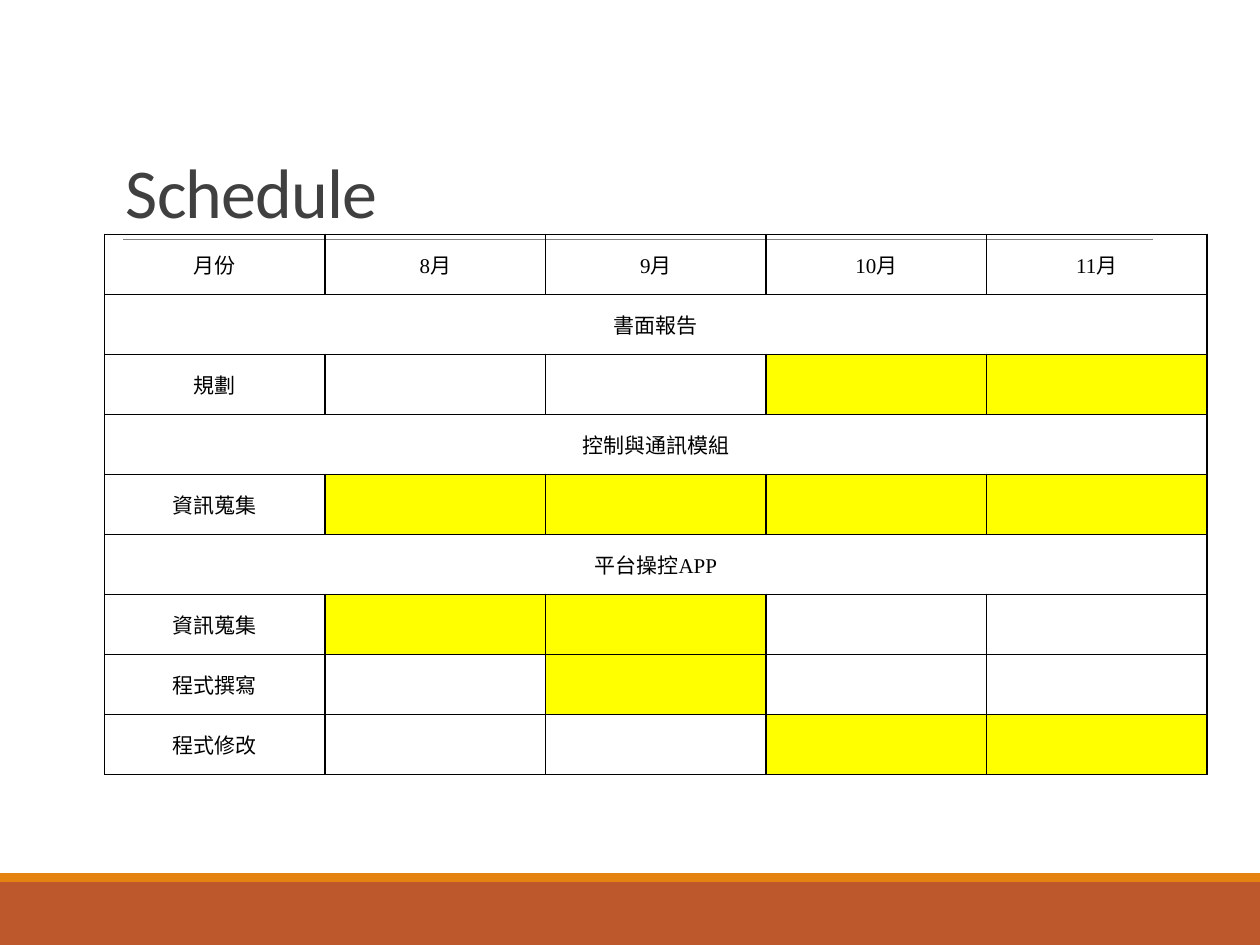
from lxml import etree
from pptx import Presentation
from pptx.dml.color import RGBColor
from pptx.enum.shapes import MSO_CONNECTOR, MSO_SHAPE
from pptx.enum.text import MSO_ANCHOR, PP_ALIGN
from pptx.oxml.ns import qn
from pptx.util import Inches, Pt

RECT, STRAIGHT = MSO_SHAPE.RECTANGLE, MSO_CONNECTOR.STRAIGHT
LEFT, CENTER = PP_ALIGN.LEFT, PP_ALIGN.CENTER
BOTTOM, MIDDLE = MSO_ANCHOR.BOTTOM, MSO_ANCHOR.MIDDLE
COLS, ROWS = 100, 75

# Row label and the months in which the work is done; None marks a section heading
MONTHS = [8, 9, 10, 11]
SCHEDULE = [
    ("書面報告", None),
    ("規劃", {10, 11}),
    ("控制與通訊模組", None),
    ("資訊蒐集", {8, 9, 10, 11}),
    ("平台操控APP", None),
    ("資訊蒐集", {8, 9}),
    ("程式撰寫", {9}),
    ("程式修改", {10, 11}),
]


def rgb(color):
    return RGBColor.from_string(color)


def write(tf, text, font="Times New Roman", size=12, color="000000",
          align=CENTER, line_spacing=None, tracking=None):
    """Put one formatted paragraph in a text frame; tracking is in points."""
    p = tf.paragraphs[0]
    p.alignment = align
    p.line_spacing = line_spacing
    r = p.add_run()
    r.text = text
    r.font.name = font
    r.font.size = Pt(size)
    r.font.color.rgb = rgb(color)
    if tracking is not None:
        r.font._element.set("spc", str(round(tracking * 100)))


def add_borders(cell, color, width):
    tcPr = cell._tc.get_or_add_tcPr()
    for i, side in enumerate(("lnL", "lnR", "lnT", "lnB")):
        ln = etree.Element(qn(f"a:{side}"), w=str(Pt(width)))
        fill = etree.SubElement(ln, qn("a:solidFill"))
        etree.SubElement(fill, qn("a:srgbClr"), val=color)
        tcPr.insert(i, ln)


class ScheduleSlide:
    """Style and current slide; lengths are columns and rows of the grid."""
    accent, band, rule = "E48312", "BD582C", "808080"
    heading, ink, busy = "404040", "000000", "FFFF00"

    def __init__(self, prs):
        self.unit_x = prs.slide_width / COLS
        self.unit_y = prs.slide_height / ROWS
        self.slide = prs.slides.add_slide(prs.slide_layouts[6])

    def grid(self, x, y, w, h):
        return (round(x * self.unit_x), round(y * self.unit_y),
                round(w * self.unit_x), round(h * self.unit_y))

    def bar(self, y, h, color):
        s = self.slide.shapes.add_shape(RECT, *self.grid(0, y, COLS, h))
        s.shadow.inherit = False
        s.fill.solid()
        s.fill.fore_color.rgb = rgb(color)
        s.line.fill.background()

    def line(self, x1, y1, x2, y2):
        s = self.slide.shapes.add_connector(STRAIGHT, *self.grid(x1, y1, x2, y2))
        s.line.color.rgb = rgb(self.rule)
        s.line.width = Pt(0.5)
        etree.SubElement(s._element.spPr, qn("a:effectLst"))

    def title(self, text, *box):
        tf = self.slide.shapes.add_textbox(*self.grid(*box)).text_frame
        tf.word_wrap = True
        tf.vertical_anchor = BOTTOM
        write(tf, text, font="Calibri", size=40, color=self.heading,
              align=LEFT, line_spacing=0.85, tracking=-0.5)

    def cell(self, cell, text="", fill=None):
        cell.vertical_anchor = MIDDLE
        cell.margin_left = cell.margin_right = Inches(0.07)
        cell.margin_top = cell.margin_bottom = 0
        if fill:
            cell.fill.solid()
            cell.fill.fore_color.rgb = rgb(fill)
        else:
            cell.fill.background()
        add_borders(cell, self.ink, 1)
        if text:
            write(cell.text_frame, text, color=self.ink)

    def table(self, *box):
        table = self.slide.shapes.add_table(
            len(SCHEDULE) + 1, len(MONTHS) + 1, *self.grid(*box)).table
        table.first_row = table.horz_banding = False
        for col, text in enumerate(["月份"] + [f"{m}月" for m in MONTHS]):
            self.cell(table.cell(0, col), text)
        for row, (label, busy) in enumerate(SCHEDULE, 1):
            self.cell(table.cell(row, 0), label)
            for col, month in enumerate(MONTHS, 1):
                active = busy and month in busy
                self.cell(table.cell(row, col), fill=self.busy if active else None)
            if busy is None:
                table.cell(row, 0).merge(table.cell(row, len(MONTHS)))


def main():
    prs = Presentation()
    prs.slide_width, prs.slide_height = Inches(10), Inches(7.5)
    s = ScheduleSlide(prs)
    s.bar(70, 5, s.band)
    s.bar(69.3, 0.7, s.accent)
    s.line(9.8, 19, 91.5, 19)
    s.title("Schedule", 9, 3.1, 82.5, 15.9)
    s.table(8.3, 18.6, 87.5, 42.9)
    prs.save("out.pptx")


if __name__ == "__main__":
    main()
